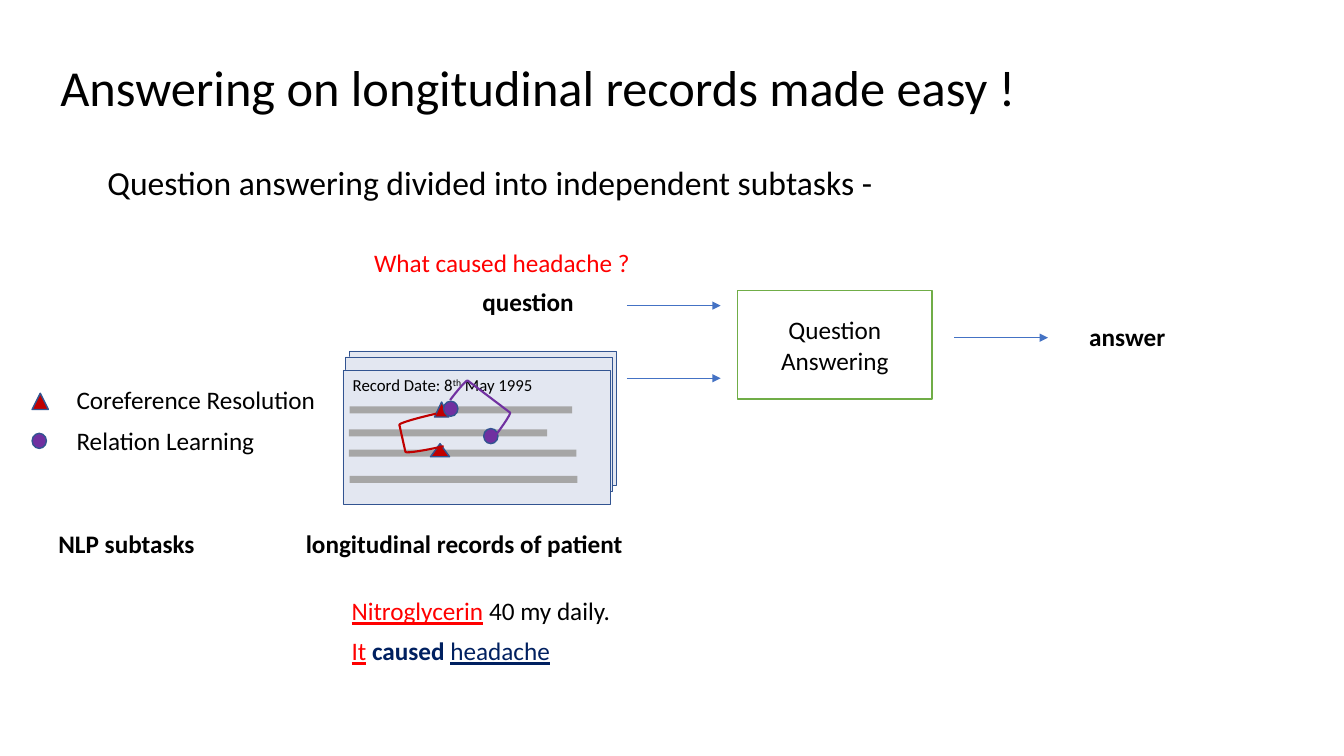
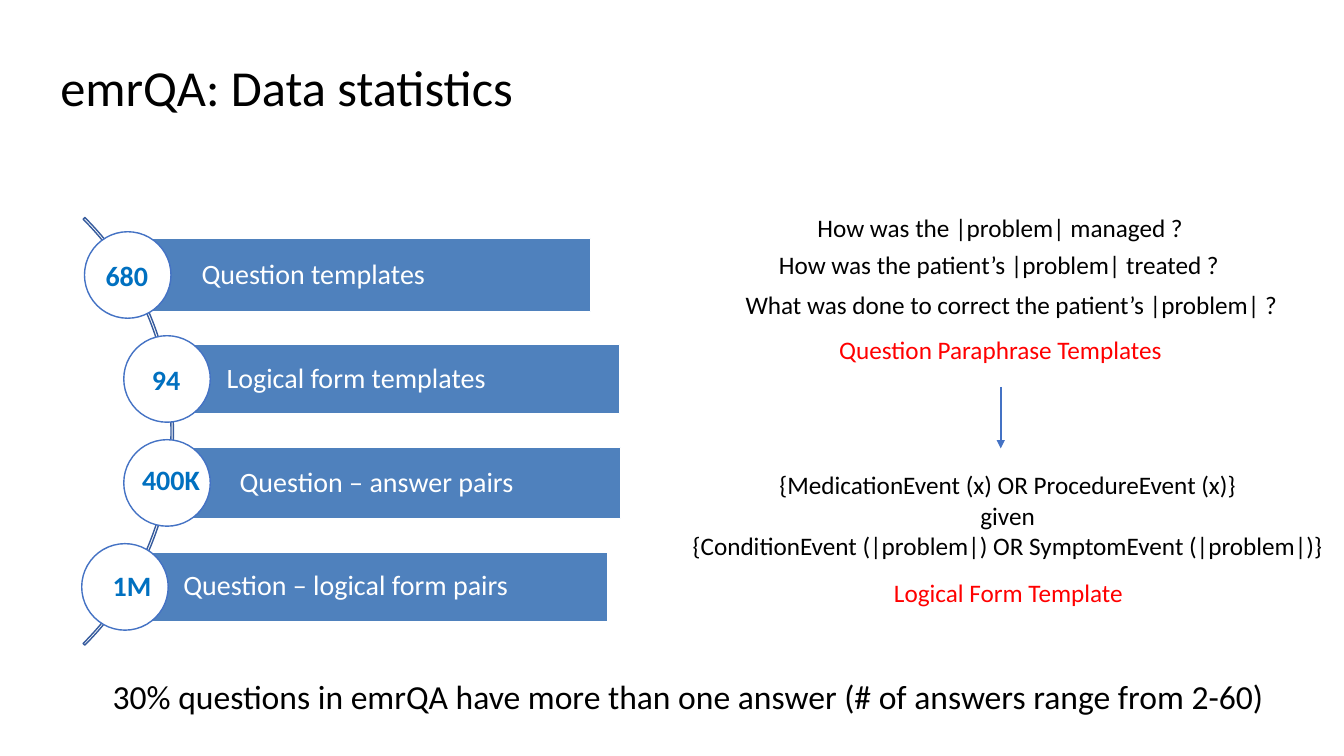
"""Builds two slides on question answering over patient records."""
from dataclasses import dataclass

from lxml import etree
from pptx import Presentation
from pptx.dml.color import RGBColor
from pptx.enum import shapes, text
from pptx.oxml.ns import qn
from pptx.util import Cm, Pt


@dataclass(frozen=True)
class Theme:
    """Shared colours, type sizes and font."""
    font: str = "Calibri"
    black: str = "000000"
    white: str = "FFFFFF"
    red: str = "FF0000"
    navy: str = "002060"
    number: str = "0070C0"
    arrow: str = "4472C4"
    outline: str = "325491"
    arc: str = "365B9D"
    bar: str = "4F81BD"
    answering: str = "70AD47"
    record: str = "E3E7F1"
    writing: str = "A6A6A6"
    coreference: str = "C00000"
    relation: str = "7030A0"
    title: int = 36
    lead: int = 24
    stat: int = 20
    body: int = 18
    small: int = 12


T = Theme()
KIND = shapes.MSO_SHAPE
CENTER = text.PP_ALIGN.CENTER
MIDDLE = text.MSO_ANCHOR.MIDDLE
LINE_HEIGHT = 1.02

RECORDS_TITLE = "Answering on longitudinal records made easy !"
RECORDS_LEAD = "Question answering divided into independent subtasks -"
RECORD_DATE = [("Record Date: 8", {}), ("th", {"raised": True}), (" May 1995", {})]
RECORD_SIZE = (6.73, 3.38)
RECORD_CORNERS = [(8.81, 8.84), (8.71, 8.99), (8.64, 9.32)]
WRITING_LINES = [(8.81, 10.24, 5.61), (8.79, 10.82, 5), (8.79, 11.33, 5.74),
                 (8.81, 11.99, 5.74)]
FLOW_ARROWS = [(15.8, 7.7), (15.8, 9.53), (24.05, 8.51)]
FLOW_LENGTH = 2.36
MENTIONS = [
    (KIND.ISOSCELES_TRIANGLE, T.coreference,
     [(10.95, 10.13, 0.36, 0.38), (10.85, 11.18, 0.48, 0.33), (0.81, 9.91, 0.41, 0.41)]),
    (KIND.OVAL, T.relation,
     [(11.18, 10.11, 0.36, 0.38), (12.19, 10.8, 0.36, 0.38), (0.81, 10.92, 0.36, 0.38)]),
]
LINKS = [(T.coreference, (10.13, 10.52, 0.97, 0.84), 347.4),
         (T.relation, (11.79, 9.53, 0.66, 1.45), 127.1)]
FLOW_LABELS = [("question", 11.91, 7.09, 4.32, None), ("answer", 27.2, 7.98, 4.32, None),
               ("NLP subtasks", 0.2, 13.18, 5.98, CENTER),
               ("longitudinal records of patient", 6.43, 13.18, 10.54, CENTER)]
SUBTASKS = [("Coreference Resolution", 9.55), ("Relation Learning", 10.59)]
EVIDENCE = [
    [("Nitroglycerin", {"color": T.red, "underline": True}), (" 40 my daily.", {})],
    [("It", {"color": T.red, "underline": True}), (" ", {}),
     ("caused ", {"color": T.navy, "bold": True}),
     ("headache", {"color": T.navy, "underline": True})],
]

STATS_TITLE = "emrQA: Data statistics"
STATS = [
    {"number": "680", "label": "Question templates", "circle": 2.13,
     "bar": (3.71, 11.18, 1.85), "number_at": (2.41, 0.56)},
    {"number": "94", "label": "Logical form templates", "circle": 3.12,
     "bar": (4.34, 11.28, 1.75), "number_at": (3.58, 0.56)},
    {"number": "400K", "label": "Question – answer pairs", "circle": 3.12,
     "bar": (4.67, 10.97, 1.8), "number_at": (3.33, 0.46)},
    {"number": "1M", "label": "Question – logical form pairs", "circle": 2.06,
     "bar": (3.25, 12.07, 1.75), "number_at": (2.59, 0.5)},
]
STATS_TOP, STATS_STEP, CIRCLE = 5.84, 2.62, 2.18
EXAMPLES = [
    ("How was the |problem| managed ?", T.black, (20.35, 5.23, 9.98)),
    ("How was the patient’s |problem| treated ?", T.black, (19.38, 6.15, 11.89)),
    ("What was done to correct the patient’s |problem| ?", T.black, (18.54, 7.16, 14.22)),
    ("Question Paraphrase Templates", T.red, (20.9, 8.31, 10)),
    ("Logical Form Template", T.red, (22.28, 14.43, 10)),
]
LOGICAL_FORM = ["{MedicationEvent (x) OR ProcedureEvent (x)}", "given",
                "{ConditionEvent (|problem|) OR SymptomEvent (|problem|)}"]
ANSWER_RANGE = ("30% questions in emrQA have more than one answer "
                "(# of answers range from 2-60)")


def rgb(color):
    return RGBColor.from_string(color)


def write(frame, paragraphs, size=T.body, color=T.black, bold=False, align=None,
          anchor=text.MSO_ANCHOR.TOP, spacing=None, before=0):
    """Fill a frame; each paragraph is a string or a list of (words, format) runs."""
    frame.word_wrap = True
    frame.vertical_anchor = anchor
    for index, content in enumerate(paragraphs):
        paragraph = frame.add_paragraph() if index else frame.paragraphs[0]
        paragraph.alignment = align or text.PP_ALIGN.LEFT
        if spacing:
            paragraph.line_spacing = spacing
        if index and before:
            paragraph.space_before = Pt(before)
        font = paragraph.font
        font.name, font.size, font.bold = T.font, Pt(size), bold
        font.color.rgb = rgb(color)
        for words, style in [(content, {})] if isinstance(content, str) else content:
            run = paragraph.add_run()
            run.text = words
            if "color" in style:
                run.font.color.rgb = rgb(style["color"])
            if "bold" in style:
                run.font.bold = True
            if "underline" in style:
                run.font.underline = True
            if "raised" in style:
                run._r.get_or_add_rPr().set("baseline", "30000")


def add_text(slide, paragraphs, left, top, width, height=LINE_HEIGHT, **style):
    box = slide.shapes.add_textbox(Cm(left), Cm(top), Cm(width), Cm(height))
    write(box.text_frame, paragraphs, **style)


def add_shape(slide, kind, left, top, width, height, fill=None, line=None, weight=1):
    shape = slide.shapes.add_shape(kind, Cm(left), Cm(top), Cm(width), Cm(height))
    shape.shadow.inherit = False
    if fill:
        shape.fill.solid()
        shape.fill.fore_color.rgb = rgb(fill)
    else:
        shape.fill.background()
    if line:
        shape.line.color.rgb = rgb(line)
        shape.line.width = Pt(weight)
    else:
        shape.line.fill.background()
    return shape


def add_arrow(slide, left, top, right, bottom, weight):
    arrow = slide.shapes.add_connector(
        shapes.MSO_CONNECTOR.STRAIGHT, Cm(left), Cm(top), Cm(right), Cm(bottom))
    arrow.line.color.rgb = rgb(T.arrow)
    arrow.line.width = Pt(weight)
    etree.SubElement(arrow.line._get_or_add_ln(), qn("a:tailEnd"), type="triangle")
    etree.SubElement(arrow._element.spPr, qn("a:effectLst"))


def new_slide(deck, title):
    slide = deck.slides.add_slide(deck.slide_layouts[6])
    add_text(slide, [title], 1.27, 1.27, 27.94, 2.03, size=T.title, anchor=MIDDLE, spacing=0.9)
    return slide


def build_records(deck):
    slide = new_slide(deck, RECORDS_TITLE)
    add_text(slide, [RECORDS_LEAD], 2.46, 4.06, 29.21, 1.3, size=T.lead, spacing=0.9)
    answering = add_shape(slide, KIND.RECTANGLE, 18.59, 7.32, 4.9, 2.74, T.white, T.answering)
    write(answering.text_frame, ["Question Answering"], align=CENTER, anchor=MIDDLE)
    for left, top in FLOW_ARROWS:
        add_arrow(slide, left, top, left + FLOW_LENGTH, top, 0.5)
    for corner in RECORD_CORNERS:
        record = add_shape(slide, KIND.RECTANGLE, *corner, *RECORD_SIZE, T.record, T.outline, 0.25)
    write(record.text_frame, [RECORD_DATE], size=T.small)
    for place in WRITING_LINES:
        add_shape(slide, KIND.RECTANGLE, *place, 0.18, T.writing)
    for kind, color, places in MENTIONS:
        for place in places:
            add_shape(slide, kind, *place, color, T.outline)
    for color, place, angle in LINKS:
        link = add_shape(slide, KIND.LEFT_BRACKET, *place, line=color, weight=1.5)
        link.rotation = angle
    for label, left, top, width, align in FLOW_LABELS:
        add_text(slide, [label], left, top, width, bold=True, align=align)
    for subtask, top in SUBTASKS:
        add_text(slide, [subtask], 1.68, top, 8.56)
    add_text(slide, ["What caused headache ?"], 4.18, 6.1, 16.94, color=T.red, align=CENTER)
    add_text(slide, EVIDENCE, 8.61, 14.88, 15.67, 2.06, before=7)


def build_stats(deck):
    slide = new_slide(deck, STATS_TITLE)
    arc = add_shape(slide, KIND.BLOCK_ARC, -10.87, 3.25, 15.24, 15.24, line=T.arc)
    for index, angle in enumerate((189, 27, 0.004)):
        arc.adjustments[index] = angle
    for row, stat in enumerate(STATS):
        top = STATS_TOP + row * STATS_STEP
        left, width, height = stat["bar"]
        bar = add_shape(slide, KIND.RECTANGLE, left, top + (CIRCLE - height) / 2,
                        width, height, T.bar, T.white)
        bar.text_frame.margin_left = Cm(1.37)
        write(bar.text_frame, [stat["label"]], size=T.stat, color=T.white,
              anchor=MIDDLE, spacing=0.9)
        add_shape(slide, KIND.OVAL, stat["circle"], top, CIRCLE, CIRCLE, T.white, T.arrow)
        number_left, drop = stat["number_at"]
        add_text(slide, [stat["number"]], number_left, top + drop, 2.6, 1.12,
                 size=T.stat, color=T.number, bold=True)
    for example, color, place in EXAMPLES:
        add_text(slide, [example], *place, color=color)
    add_arrow(slide, 25.22, 9.75, 25.22, 11.3, 1.5)
    add_text(slide, LOGICAL_FORM, 16.93, 11.71, 16.93, 2.57, align=CENTER)
    add_text(slide, [ANSWER_RANGE], 2.59, 17.02, 31, 1.3, size=T.lead, spacing=0.9)


def main():
    deck = Presentation()
    deck.slide_width, deck.slide_height = Cm(33.87), Cm(19.05)
    build_records(deck)
    build_stats(deck)
    deck.save("out.pptx")


if __name__ == "__main__":
    main()
